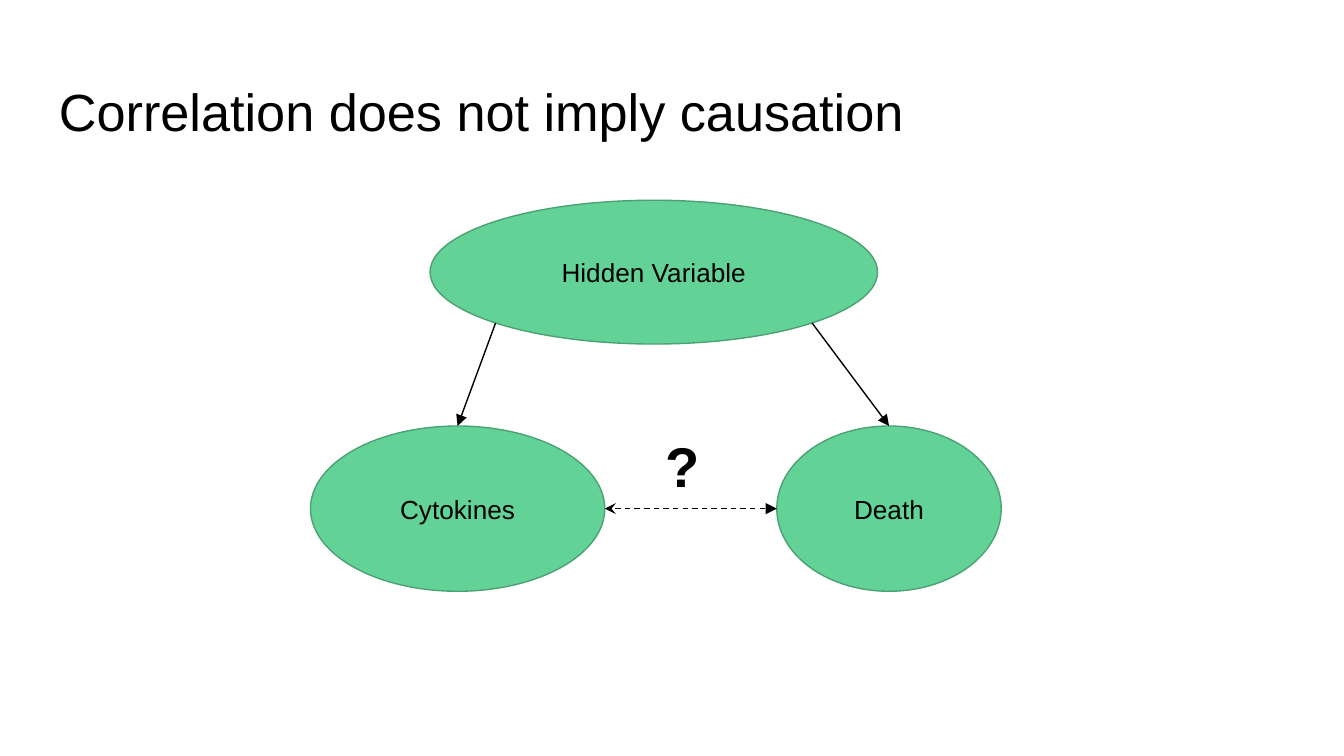
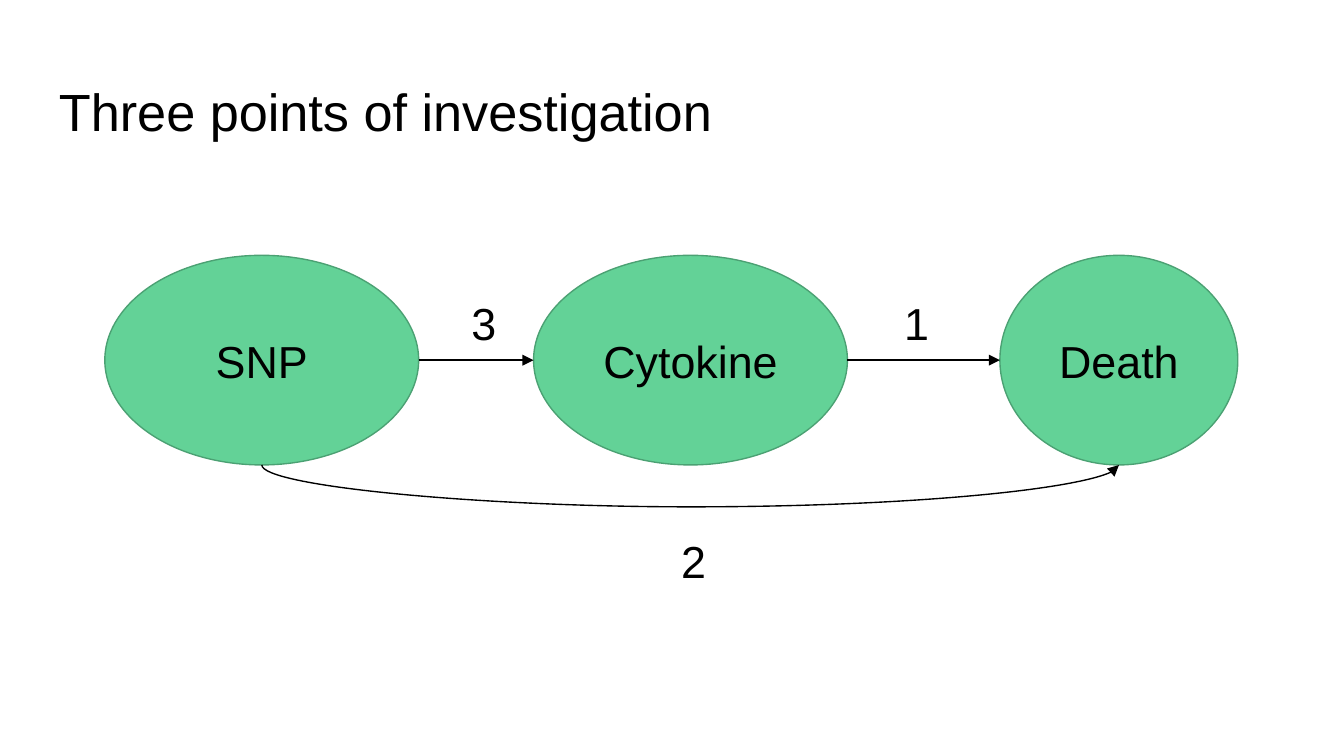
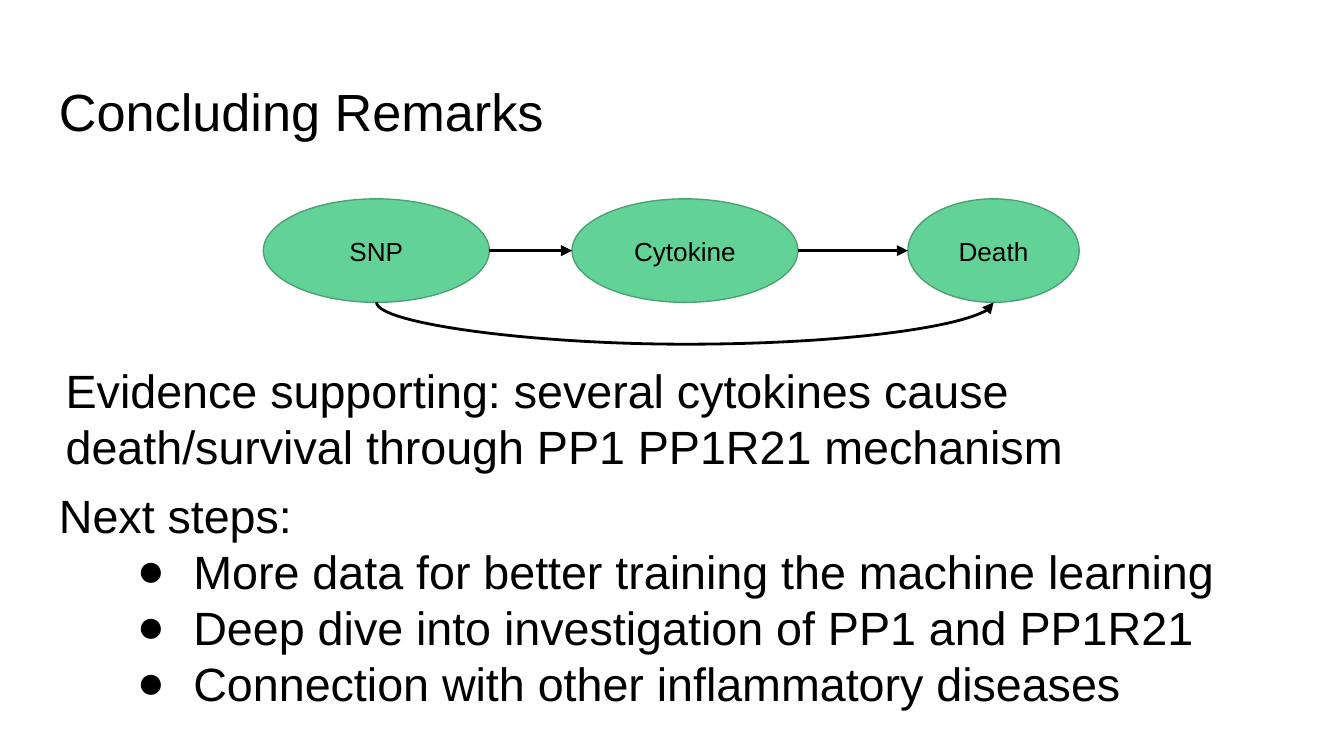
from dataclasses import dataclass
from math import cos, pi, sin

from lxml.etree import SubElement
from pptx import Presentation
from pptx.dml.color import RGBColor
from pptx.enum.dml import MSO_LINE
from pptx.enum.shapes import MSO_CONNECTOR, MSO_SHAPE
from pptx.enum.text import MSO_ANCHOR, PP_ALIGN
from pptx.oxml.ns import qn
from pptx.util import Inches, Pt

CELL = Inches(0.1)
COLUMNS, ROWS = 100, 56.25
TOP, LEFT, BOTTOM_LEFT, BOTTOM, BOTTOM_RIGHT, RIGHT = 0, 2, 3, 4, 5, 6
CURVE_DEPTH = 2.6
CURVE_SPAN = 600


@dataclass(frozen=True)
class Theme:
    font: str = "Arial"
    ink: RGBColor = RGBColor(0x00, 0x00, 0x00)
    node: RGBColor = RGBColor(0x63, 0xD2, 0x97)
    node_edge: RGBColor = RGBColor(0x4B, 0xA1, 0x73)
    thin: float = 0.75
    thick: float = 1.5
    title: int = 28
    question: int = 30
    body: int = 25
    large: int = 24
    small: int = 14


THEME = Theme()


def cells(*counts):
    return [round(count * CELL) for count in counts]


def apply(target, values):
    for name, value in values.items():
        setattr(target, name, value)


def add_bullet(para):
    properties = para._p.get_or_add_pPr()
    apply_indent = {"marL": Inches(1), "indent": -Inches(0.42)}
    for name, value in apply_indent.items():
        properties.set(name, str(value))
    color = SubElement(properties, qn("a:buClr"))
    SubElement(color, qn("a:srgbClr"), val=str(THEME.ink))
    SubElement(properties, qn("a:buFont"), typeface=THEME.font)
    SubElement(properties, qn("a:buChar"), char="●")


def write(frame, lines, size, bold=False, align=PP_ALIGN.LEFT,
          anchor=MSO_ANCHOR.TOP, bulleted_from=None):
    margins = dict.fromkeys(
        ("margin_left", "margin_top", "margin_right", "margin_bottom"), CELL)
    apply(frame, {"word_wrap": True, "vertical_anchor": anchor, **margins})
    for index, line in enumerate(lines):
        para = frame.paragraphs[0] if index == 0 else frame.add_paragraph()
        para.alignment = align
        if bulleted_from is not None and index >= bulleted_from:
            add_bullet(para)
        span = para.add_run()
        span.text = line
        apply(span.font, {"name": THEME.font, "size": Pt(size), "bold": bold})
        span.font.color.rgb = THEME.ink


def add_text(page, area, lines, size, **options):
    box = page.shapes.add_textbox(*cells(*area))
    write(box.text_frame, lines, size, **options)


def add_page(deck, title):
    page = deck.slides.add_slide(deck.slide_layouts[6])
    add_text(page, (3.4, 4.9, 93.2, 6.3), [title], THEME.title)
    return page


def add_node(page, area, label, size, kind=MSO_SHAPE.OVAL):
    node = page.shapes.add_shape(kind, *cells(*area))
    node.shadow.inherit = False
    node.fill.solid()
    node.fill.fore_color.rgb = THEME.node
    node.line.color.rgb = THEME.node_edge
    node.line.width = Pt(THEME.thin)
    write(node.text_frame, [label], size, align=PP_ALIGN.CENTER,
          anchor=MSO_ANCHOR.MIDDLE)
    return node


def site_point(node, site):
    angle = site * pi / 4
    return (round(node.left + node.width * (1 - sin(angle)) / 2),
            round(node.top + node.height * (1 - cos(angle)) / 2))


def add_arrow(page, start, start_site, end, end_site, width=THEME.thin,
              kind=MSO_CONNECTOR.STRAIGHT, dash=None, head=None):
    arrow = page.shapes.add_connector(
        kind, *site_point(start, start_site), *site_point(end, end_site))
    links = arrow._element.nvCxnSpPr.cNvCxnSpPr
    for tag, node, site in (("a:stCxn", start, start_site),
                            ("a:endCxn", end, end_site)):
        SubElement(links, qn(tag), id=str(node.shape_id), idx=str(site))
    arrow.line.color.rgb = THEME.ink
    apply(arrow.line, {"width": Pt(width), "dash_style": dash})
    outline = arrow.line._get_or_add_ln()
    for tag, tip in (("a:headEnd", head), ("a:tailEnd", "triangle")):
        if tip:
            SubElement(outline, qn(tag), type=tip)
    SubElement(arrow._element.spPr, qn("a:effectLst"))
    return arrow


def add_curve_below(page, start, end, width):
    curve = add_arrow(page, start, BOTTOM, end, BOTTOM, width,
                      MSO_CONNECTOR.CURVE)
    length = curve.width
    apply(curve, {"left": curve.left + length // 2,
                  "top": curve.top - length // 2,
                  "width": CURVE_SPAN, "height": length})
    properties = curve._element.spPr
    frame = properties.find(qn("a:xfrm"))
    for name, value in {"rot": "16200000", "flipH": "1"}.items():
        frame.set(name, value)
    geometry = properties.find(qn("a:prstGeom"))
    guides = geometry.find(qn("a:avLst"))
    if guides is None:
        guides = SubElement(geometry, qn("a:avLst"))
    bend = round(CURVE_DEPTH * CELL / CURVE_SPAN * 100000)
    SubElement(guides, qn("a:gd"), name="adj1", fmla=f"val {bend}")


def add_causal_chain(page, left, top, height, scale, size, width):
    snp, cytokine, death = [
        add_node(page, (left + offset * scale, top, span * scale, height),
                 label, size)
        for label, offset, span in (
            ("SNP", 0, 23.35), ("Cytokine", 31.9, 23.35), ("Death", 66.6, 17.7))
    ]
    add_arrow(page, snp, RIGHT, cytokine, LEFT, width)
    add_curve_below(page, snp, death, width)
    add_arrow(page, cytokine, RIGHT, death, LEFT, width)


def build_correlation(deck):
    page = add_page(deck, "Correlation does not imply causation")
    cytokines = add_node(page, (23.1, 31.7, 21.9, 12.3), "Cytokines", THEME.small)
    death = add_node(page, (57.8, 31.7, 16.7, 12.3), "Death", THEME.small)
    hidden = add_node(page, (32, 14.9, 33.3, 10.7), "Hidden Variable",
                      THEME.small, MSO_SHAPE.FLOWCHART_CONNECTOR)
    add_arrow(page, cytokines, RIGHT, death, LEFT, dash=MSO_LINE.DASH,
              head="stealth")
    add_arrow(page, hidden, BOTTOM_LEFT, cytokines, TOP)
    add_arrow(page, hidden, BOTTOM_RIGHT, death, TOP)
    add_text(page, (48.5, 31.1, 5.7, 6.3), ["?"], THEME.question, bold=True)


def build_investigation(deck):
    page = add_page(deck, "Three points of investigation")
    add_causal_chain(page, 7.8, 19, 15.6, 1, THEME.large, THEME.thin)
    for number, column, row in (("1", 66.3, 21), ("2", 49.7, 38.7),
                                ("3", 34.1, 21)):
        add_text(page, (column, row, 3.4, 4.9), [number], THEME.large)


def build_conclusion(deck):
    page = add_page(deck, "Concluding Remarks")
    add_causal_chain(page, 19.6, 14.8, 7.7, 0.72, THEME.small, THEME.thick)
    add_text(page, (3.4, 35.2, 93.2, 24.5), [
        "Next steps:",
        "More data for better training the machine learning",
        "Deep dive into investigation of PP1 and PP1R21",
        "Connection with other inflammatory diseases",
    ], THEME.body, bulleted_from=1)
    add_text(page, (3.9, 25.9, 92.2, 8.5), [
        "Evidence supporting: several cytokines cause death/survival "
        "through PP1 PP1R21 mechanism",
    ], THEME.body)


def main():
    deck = Presentation()
    deck.slide_width, deck.slide_height = cells(COLUMNS, ROWS)
    for build in (build_correlation, build_investigation, build_conclusion):
        build(deck)
    deck.save("out.pptx")


if __name__ == "__main__":
    main()
